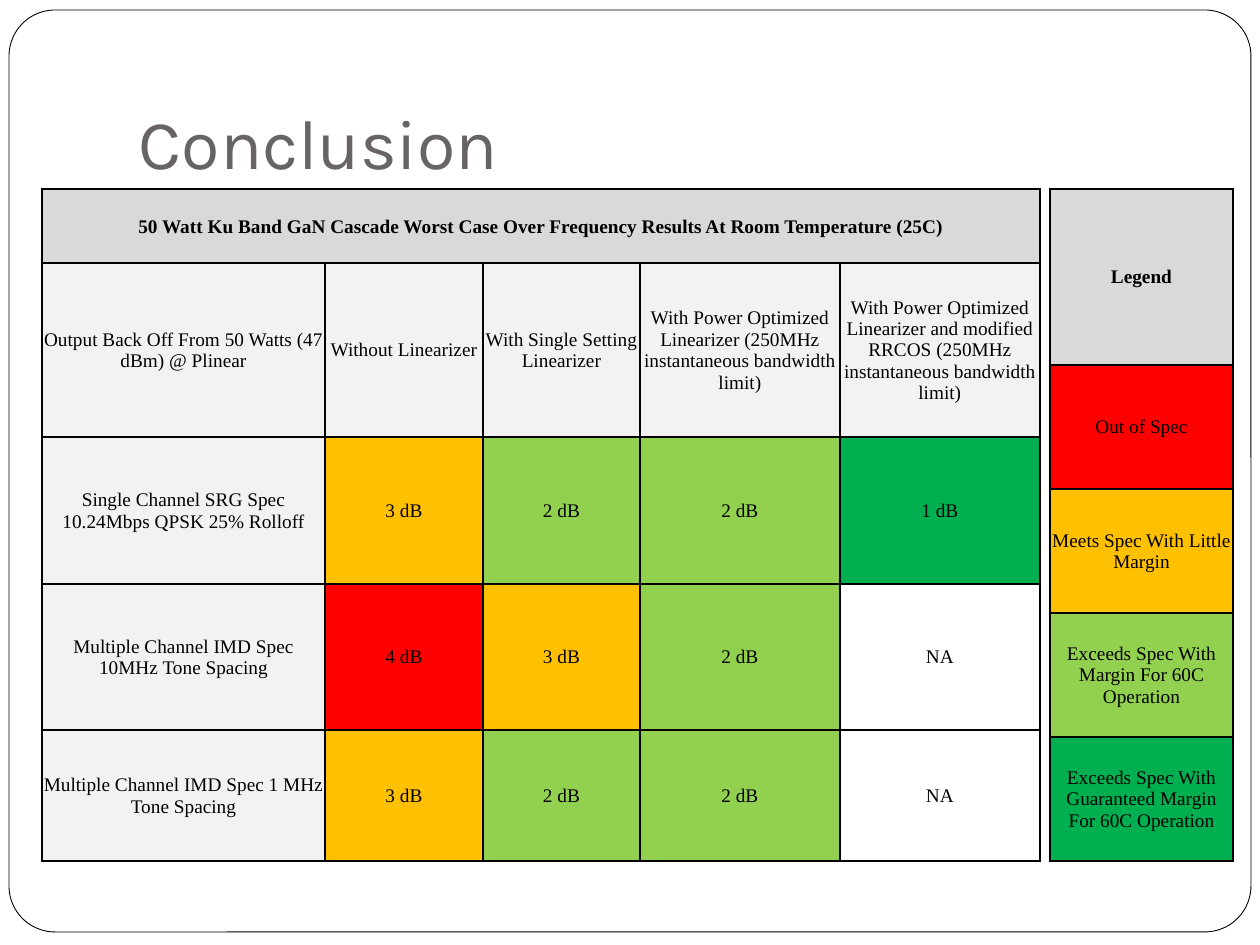
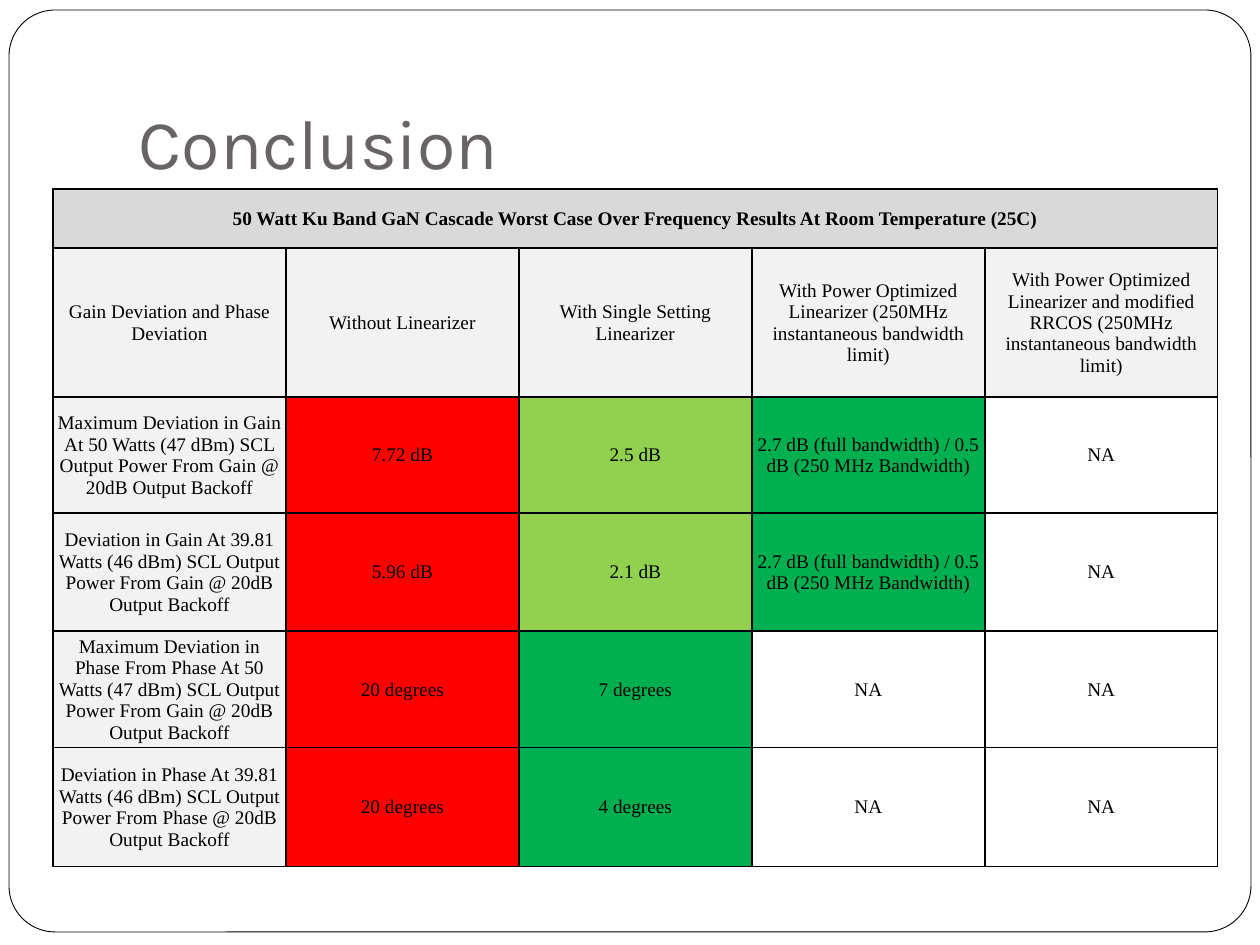
from lxml import etree
from pptx import Presentation
from pptx.dml.color import RGBColor
from pptx.enum.shapes import MSO_SHAPE
from pptx.enum.text import MSO_ANCHOR, PP_ALIGN
from pptx.oxml.ns import qn
from pptx.util import Pt

ROUNDED = MSO_SHAPE.ROUNDED_RECTANGLE
MIDDLE, BOTTOM = MSO_ANCHOR.MIDDLE, MSO_ANCHOR.BOTTOM
LEFT, CENTER = PP_ALIGN.LEFT, PP_ALIGN.CENTER

BLACK = RGBColor(0x00, 0x00, 0x00)
WHITE = RGBColor(0xFF, 0xFF, 0xFF)
TITLE_GRAY = RGBColor(0x69, 0x64, 0x64)
BANNER_GRAY = RGBColor(0xD9, 0xD9, 0xD9)
LABEL_GRAY = RGBColor(0xF2, 0xF2, 0xF2)
FAILS = RGBColor(0xFF, 0x00, 0x00)
MARGINAL = RGBColor(0xFF, 0xC0, 0x00)
EXCEEDS = RGBColor(0x92, 0xD0, 0x50)
GUARANTEED = RGBColor(0x00, 0xB0, 0x50)

TITLE_FONT, TABLE_FONT = "Karla", "Times New Roman"
EMU_PER_PX = 914400 / 126
SLIDE_SIZE = (1260, 945)
FRAME = (9, 10, 1242, 932 - 10)
TITLE_BOX = (126, 38, 1071, 158)
TABLE_TOP = 189

TITLE = "Conclusion"
BANNER = ("50 Watt Ku Band GaN Cascade Worst Case Over Frequency "
          "Results At Room Temperature (25C)")
SETUPS = [
    "Without Linearizer",
    "With Single Setting Linearizer",
    "With Power Optimized Linearizer (250MHz instantaneous bandwidth limit)",
    "With Power Optimized Linearizer and modified RRCOS "
    "(250MHz instantaneous bandwidth limit)",
]
NOT_APPLICABLE = ("NA", WHITE)
SPLIT_GAIN = ("2.7 dB (full bandwidth) / 0.5 dB (250 MHz Bandwidth)", GUARANTEED)

BACK_OFF = {
    "corner": "Output Back Off From 50 Watts (47 dBm) @ Plinear",
    "left": 42,
    "columns": [283, 158, 157, 200, 200],
    "rows": [74, 174, 147, 146, 131],
    "results": [
        ("Single Channel SRG Spec 10.24Mbps QPSK 25% Rolloff",
         [("3 dB", MARGINAL), ("2 dB", EXCEEDS), ("2 dB", EXCEEDS),
          ("1 dB", GUARANTEED)]),
        ("Multiple Channel IMD Spec 10MHz Tone Spacing",
         [("4 dB", FAILS), ("3 dB", MARGINAL), ("2 dB", EXCEEDS), NOT_APPLICABLE]),
        ("Multiple Channel IMD Spec 1 MHz Tone Spacing",
         [("3 dB", MARGINAL), ("2 dB", EXCEEDS), ("2 dB", EXCEEDS), NOT_APPLICABLE]),
    ],
}
DEVIATION = {
    "corner": "Gain Deviation and Phase Deviation",
    "left": 53,
    "columns": [233] * 5,
    "rows": [59, 149, 116, 118, 111, 119],
    "results": [
        ("Maximum Deviation in Gain At 50 Watts (47 dBm) SCL Output Power "
         "From Gain @ 20dB Output Backoff",
         [("7.72 dB", FAILS), ("2.5 dB", EXCEEDS), SPLIT_GAIN, NOT_APPLICABLE]),
        ("Deviation in Gain At 39.81 Watts (46 dBm) SCL Output Power "
         "From Gain @ 20dB Output Backoff",
         [("5.96 dB", FAILS), ("2.1 dB", EXCEEDS), SPLIT_GAIN, NOT_APPLICABLE]),
        ("Maximum Deviation in Phase From Phase At 50 Watts (47 dBm) SCL "
         "Output Power From Gain @ 20dB Output Backoff",
         [("20 degrees", FAILS), ("7 degrees", GUARANTEED),
          NOT_APPLICABLE, NOT_APPLICABLE]),
        ("Deviation in Phase At 39.81 Watts (46 dBm) SCL Output Power "
         "From Phase @ 20dB Output Backoff",
         [("20 degrees", FAILS), ("4 degrees", GUARANTEED),
          NOT_APPLICABLE, NOT_APPLICABLE]),
    ],
}
LEGEND = [
    ("Legend", BANNER_GRAY),
    ("Out of Spec", FAILS),
    ("Meets Spec With Little Margin", MARGINAL),
    ("Exceeds Spec With Margin For 60C Operation", EXCEEDS),
    ("Exceeds Spec With Guaranteed Margin For 60C Operation", GUARANTEED),
]
LEGEND_LEFT, LEGEND_WIDTH = 1050, 183
LEGEND_ROWS = [176] + [124] * 4


def px(*lengths):
    return [round(length * EMU_PER_PX) for length in lengths]


def write(frame, text, font=TABLE_FONT, size=11, color=BLACK, bold=False, align=CENTER):
    para = frame.paragraphs[0]
    para.alignment = align
    span = para.add_run()
    span.text = text
    span.font.name = font
    span.font.size = Pt(size)
    span.font.bold = bold
    span.font.color.rgb = color


def set_margins(holder, left, top, right, bottom):
    (holder.margin_left, holder.margin_top,
     holder.margin_right, holder.margin_bottom) = px(left, top, right, bottom)


def add_borders(cell):
    properties = cell._tc.get_or_add_tcPr()
    for side in ("lnL", "lnR", "lnT", "lnB"):
        line = etree.SubElement(properties, qn(f"a:{side}"), w=str(Pt(1)))
        fill = etree.SubElement(line, qn("a:solidFill"))
        etree.SubElement(fill, qn("a:srgbClr"), val=str(BLACK))


def add_grid(page, left, columns, rows, cells):
    """Add a table from rows of (text, fill); the first row is one bold heading."""
    table = page.shapes.add_table(
        len(rows), len(columns),
        *px(left, TABLE_TOP, sum(columns), sum(rows))).table
    table.first_row = table.horz_banding = False
    for column, width in zip(table.columns, px(*columns)):
        column.width = width
    for row, height in zip(table.rows, px(*rows)):
        row.height = height
    for cell in table.iter_cells():
        add_borders(cell)
    for row_index, row_cells in enumerate(cells):
        for column_index, (text, fill) in enumerate(row_cells):
            cell = table.cell(row_index, column_index)
            cell.fill.solid()
            cell.fill.fore_color.rgb = fill
            cell.vertical_anchor = MIDDLE
            set_margins(cell, 1, 1, 1, 0)
            write(cell.text_frame, text, bold=row_index == 0)
    if len(columns) > 1:
        table.cell(0, 0).merge(table.cell(0, len(columns) - 1))


def add_results(page, study):
    cells = [[(BANNER, BANNER_GRAY)],
             [(text, LABEL_GRAY) for text in [study["corner"], *SETUPS]]]
    cells += [[(label, LABEL_GRAY), *values] for label, values in study["results"]]
    add_grid(page, study["left"], study["columns"], study["rows"], cells)


def add_page(deck):
    """Add a slide with the shared rounded frame and title."""
    page = deck.slides.add_slide(deck.slide_layouts[6])
    frame = page.shapes.add_shape(ROUNDED, *px(*FRAME))
    frame.adjustments[0] = 0.05
    frame.shadow.inherit = False
    frame.fill.solid()
    frame.fill.fore_color.rgb = WHITE
    frame.line.color.rgb = BLACK
    frame.line.width = Pt(0.5)
    title = page.shapes.add_textbox(*px(*TITLE_BOX)).text_frame
    title.word_wrap = True
    title.vertical_anchor = BOTTOM
    set_margins(title, 13, 6, 13, 13)
    write(title, TITLE, font=TITLE_FONT, size=40, color=TITLE_GRAY, align=LEFT)
    return page


def main():
    deck = Presentation()
    deck.slide_width, deck.slide_height = px(*SLIDE_SIZE)
    back_off_page = add_page(deck)
    add_results(back_off_page, BACK_OFF)
    add_grid(back_off_page, LEGEND_LEFT, [LEGEND_WIDTH], LEGEND_ROWS,
             [[entry] for entry in LEGEND])
    add_results(add_page(deck), DEVIATION)
    deck.save("out.pptx")


if __name__ == "__main__":
    main()
